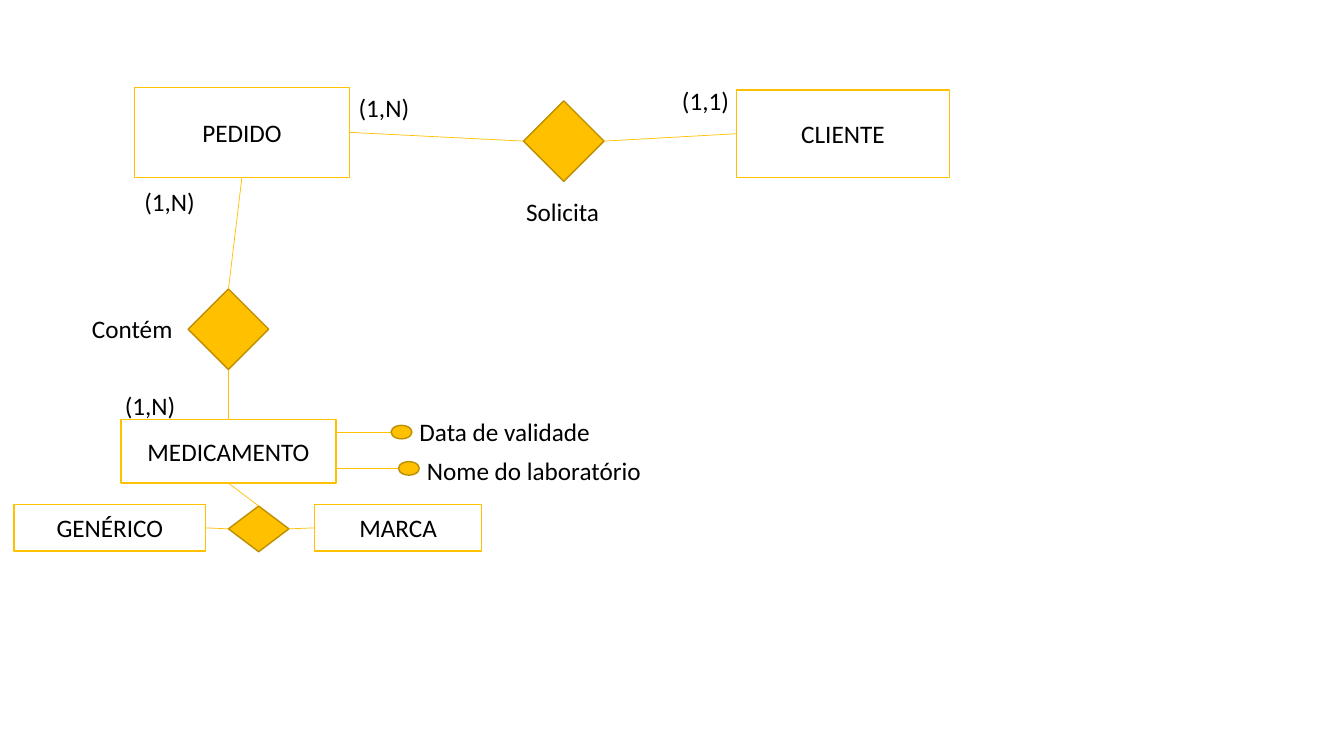
from lxml.etree import SubElement
from pptx import Presentation
from pptx.dml.color import RGBColor
from pptx.enum.shapes import MSO_CONNECTOR, MSO_SHAPE
from pptx.enum.text import MSO_ANCHOR, MSO_AUTO_SIZE, PP_ALIGN
from pptx.oxml.ns import qn
from pptx.util import Inches, Pt

COLORS = {"white": "FFFFFF", "gold": "FFC000", "edge": "BD8E00", "text": "000000"}
TOP, LEFT, BOTTOM, RIGHT = range(4)  # connection sites
CELL = Inches(1) / 15  # the slide is 200 columns by 112.5 rows


def color(name):
    return RGBColor.from_string(COLORS[name])


def grid(*cells):
    return [round(cell * CELL) for cell in cells]


def write(frame, text, align):
    frame.text = text
    par = frame.paragraphs[0]
    par.alignment = align
    font = par.runs[0].font
    font.name, font.size = "Calibri", Pt(18)
    font.color.rgb = color("text")


def draw(slide, kind, box, fill, edge):
    shape = slide.shapes.add_shape(kind, *grid(*box))
    shape.shadow.inherit = False
    shape.fill.solid()
    shape.fill.fore_color.rgb = color(fill)
    shape.line.color.rgb = color(edge)
    shape.line.width = Pt(1)
    return shape


def entity(slide, text, *box):
    shape = draw(slide, MSO_SHAPE.RECTANGLE, box, "white", "gold")
    shape.text_frame.vertical_anchor = MSO_ANCHOR.MIDDLE
    write(shape.text_frame, text, PP_ALIGN.CENTER)
    return shape


def diamond(slide, *box):
    return draw(slide, MSO_SHAPE.DIAMOND, box, "gold", "edge")


def label(slide, text, *box):
    frame = slide.shapes.add_textbox(*grid(*box, 6)).text_frame
    frame.word_wrap = False
    frame.auto_size = MSO_AUTO_SIZE.SHAPE_TO_FIT_TEXT
    write(frame, text, PP_ALIGN.LEFT)


def line(slide, *ends):
    link = slide.shapes.add_connector(MSO_CONNECTOR.STRAIGHT, *grid(*ends))
    link.line.color.rgb = color("gold")
    link.line.width = Pt(0.5)
    SubElement(link._element.spPr, qn("a:effectLst"))
    return link


def join(slide, start, site, end, goal):
    link = line(slide, 0, 0, 0, 0)
    link.begin_connect(start, site)
    link.end_connect(end, goal)


def trait(slide, text, left, mid, top, width):
    line(slide, 50, mid, left, mid)
    draw(slide, MSO_SHAPE.OVAL, (left, mid - 1, 3.1, 2), "gold", "edge")
    label(slide, text, left + 2.75, top, width)


def main():
    deck = Presentation()
    deck.slide_width, deck.slide_height = grid(200, 112.5)
    slide = deck.slides.add_slide(deck.slide_layouts[6])

    # Entities
    order = entity(slide, "PEDIDO", 20, 13, 32, 13.4)
    client = entity(slide, "CLIENTE", 109.6, 13.4, 31.7, 13)
    drug = entity(slide, "MEDICAMENTO", 18, 62.4, 32, 9.5)
    plain = entity(slide, "GENÉRICO", 2.1, 75.1, 28.5, 6.9)
    brand = entity(slide, "MARCA", 46.8, 75.1, 24.9, 6.9)

    # Relationships
    asks = diamond(slide, 77.9, 15, 12, 12)
    holds = diamond(slide, 28, 43, 12, 12)
    split = diamond(slide, 34, 75.3, 9, 6.8)

    # Names and cardinalities
    for text, left, top, width in (
        ("(1,N)", 51.9, 13, 10.7),
        ("(1,1)", 100, 12, 10.2),
        ("Solicita", 76.8, 28.5, 14),
        ("(1,N)", 20, 27, 10.7),
        ("Contém", 12.2, 45.9, 15.2),
        ("(1,N)", 17.1, 57.3, 10.7),
    ):
        label(slide, text, left, top, width)

    # Attributes
    trait(slide, "Data de validade", 58.2, 64.3, 61.2, 28.7)
    trait(slide, "Nome do laboratório", 59.3, 69.7, 67, 35.3)

    # Links
    for ends in (
        (order, RIGHT, asks, LEFT),
        (asks, RIGHT, client, LEFT),
        (order, BOTTOM, holds, TOP),
        (holds, BOTTOM, drug, TOP),
        (drug, BOTTOM, split, TOP),
        (plain, RIGHT, split, LEFT),
        (split, RIGHT, brand, LEFT),
    ):
        join(slide, *ends)

    deck.save("out.pptx")


if __name__ == "__main__":
    main()
